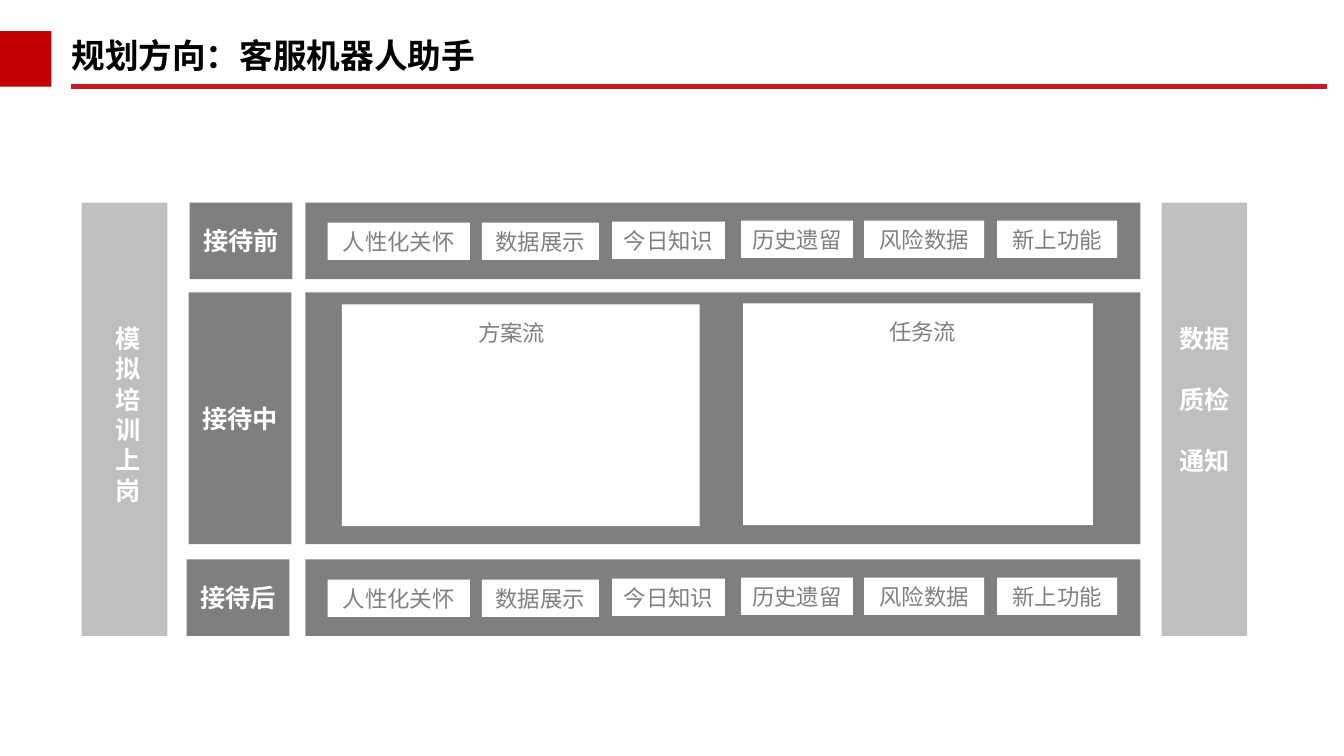
import pptx
import pptx.util
import pptx.dml.color
import pptx.enum.shapes
import pptx.enum.text
import pptx.oxml.ns
import lxml.etree

COLS, ROWS = 13.33, 7.5  # grid cells are one inch square
CELL = pptx.util.Inches(1)
FONT = "Noto Sans CJK SC"
HUES = {
    "red": "C00002", "rule": "CA1622", "black": "000000", "white": "FFFFFF",
    "dark": "7F7F7F", "light": "BFBFBF", "text": "808080",
}
ALIGN = pptx.enum.text.PP_ALIGN
ANCHOR = pptx.enum.text.MSO_ANCHOR
HEAD = {"size": 18, "hue": "white", "bold": True}
ITEM = {"size": 16, "hue": "text", "bold": False}

# Stages: label, label column, top row, height in rows
STAGES = [("接待前", 1.88, 2.01, 0.76),
          ("接待中", 1.87, 2.9, 2.5),
          ("接待后", 1.85, 5.55, 0.76)]
# Chips: text, column, width, drop below the top of the band
CHIPS = [("人性化关怀", 3.25, 1.41, 0.2), ("数据展示", 4.78, 1.16, 0.2),
         ("今日知识", 6.07, 1.12, 0.19), ("历史遗留", 7.35, 1.11, 0.18),
         ("风险数据", 8.57, 1.19, 0.18), ("新上功能", 9.89, 1.19, 0.18)]
# Flows: text, place, side margins that shift the heading
FLOWS = [("方案流", (3.39, 3.02, 3.55, 2.2), {"margin_right": 0.18}),
         ("任务流", (7.37, 3.01, 3.47, 2.2), {"margin_left": 0.09})]


def grid(*cells):
    """Turn grid cells into lengths."""
    return [int(cell * CELL) for cell in cells]


def tint(name):
    """Look up a colour by name."""
    return pptx.dml.color.RGBColor.from_string(HUES[name])


def put(item, form):
    """Set each attribute in a dict of format values."""
    for name, value in form.items():
        setattr(item, name, value)


def write(shape, lines, look, frame=None, para=None):
    """Write lines of text with a look, frame margins and paragraph format."""
    text = shape.text_frame
    form = {"margin_left": 0, "margin_right": 0, "margin_top": 0,
            "margin_bottom": 0, **(frame or {})}
    put(text, {"word_wrap": True, "vertical_anchor": ANCHOR.MIDDLE})
    put(text, {name: int(value * CELL) if name.startswith("margin") else value
               for name, value in form.items()})
    text.text = "\n".join(lines)
    for part in text.paragraphs:
        put(part, {"alignment": ALIGN.CENTER, **(para or {})})
        run = part.runs[0]
        put(run.font, {"name": FONT, "bold": look["bold"],
                       "size": pptx.util.Pt(look["size"])})
        run.font.color.rgb = tint(look["hue"])
        east = lxml.etree.SubElement(run.font._element, pptx.oxml.ns.qn("a:ea"))
        east.set("typeface", FONT)


def box(slide, place, hue):
    """Draw a plain filled rectangle."""
    kind = pptx.enum.shapes.MSO_SHAPE.RECTANGLE
    shape = slide.shapes.add_shape(kind, *grid(*place))
    shape.shadow.inherit = False
    shape.fill.solid()
    shape.fill.fore_color.rgb = tint(hue)
    shape.line.fill.background()
    return shape


def rule(slide, left, right, row):
    """Draw the line under the title."""
    kind = pptx.enum.shapes.MSO_CONNECTOR.STRAIGHT
    line = slide.shapes.add_connector(kind, *grid(left, row, right, row))
    line.line.color.rgb = tint("rule")
    line.line.width = pptx.util.Pt(3.5)
    lxml.etree.SubElement(line._element.spPr, pptx.oxml.ns.qn("a:effectLst"))


def head(slide, words):
    """Fill the title and draw its red block and rule."""
    rule(slide, 0.7, 13.16, 0.86)
    box(slide, (0, 0.31, 0.51, 0.55), "red")
    title = slide.shapes.title
    put(title, dict(zip(("left", "top", "width", "height"),
                        grid(0.61, 0.36, 5.4, 0.43))))
    write(title, [words], {"size": 24, "hue": "black", "bold": True},
          {"margin_left": 0.1},
          {"alignment": ALIGN.LEFT, "line_spacing": 0.9})


def side(slide, col, lines, frame, gap=0):
    """Draw a tall side bar with stacked text."""
    pitch = pptx.util.Pt(21.7)
    bar = box(slide, (col, 2.01, 0.85, 4.3), "light")
    write(bar, lines, HEAD, frame,
          {"line_spacing": pitch, "space_before": gap * pitch})
    bar.text_frame.paragraphs[0].space_before = 0


def stage(slide, label, col, top, high):
    """Draw a stage label and its band."""
    write(box(slide, (col, top, 1.02, high), "dark"), [label], HEAD)
    box(slide, (3.03, top, 8.28, high), "dark")


def chips(slide, top):
    """Draw the row of chips on a band."""
    for words, col, wide, drop in CHIPS:
        write(box(slide, (col, top + drop, wide, 0.37), "white"), [words], ITEM)


def main():
    """Build the slide."""
    deck = pptx.Presentation()
    deck.slide_width, deck.slide_height = grid(COLS, ROWS)
    slide = deck.slides.add_slide(deck.slide_layouts[5])
    head(slide, "规划方向：客服机器人助手")
    side(slide, 0.81, ["模拟培训上岗"],
         {"margin_left": 0.29, "margin_right": 0.21, "margin_bottom": 0.1})
    side(slide, 11.52, ["数据", "质检", "通知"], {"margin_bottom": 0.4}, 1)
    for entry in STAGES:
        stage(slide, *entry)
    for entry in (STAGES[0], STAGES[2]):
        chips(slide, entry[2])
    for words, place, shift in FLOWS:
        write(box(slide, place, "white"), [words], ITEM,
              {"margin_top": 0.15, "vertical_anchor": ANCHOR.TOP, **shift})
    deck.save("out.pptx")


main()
